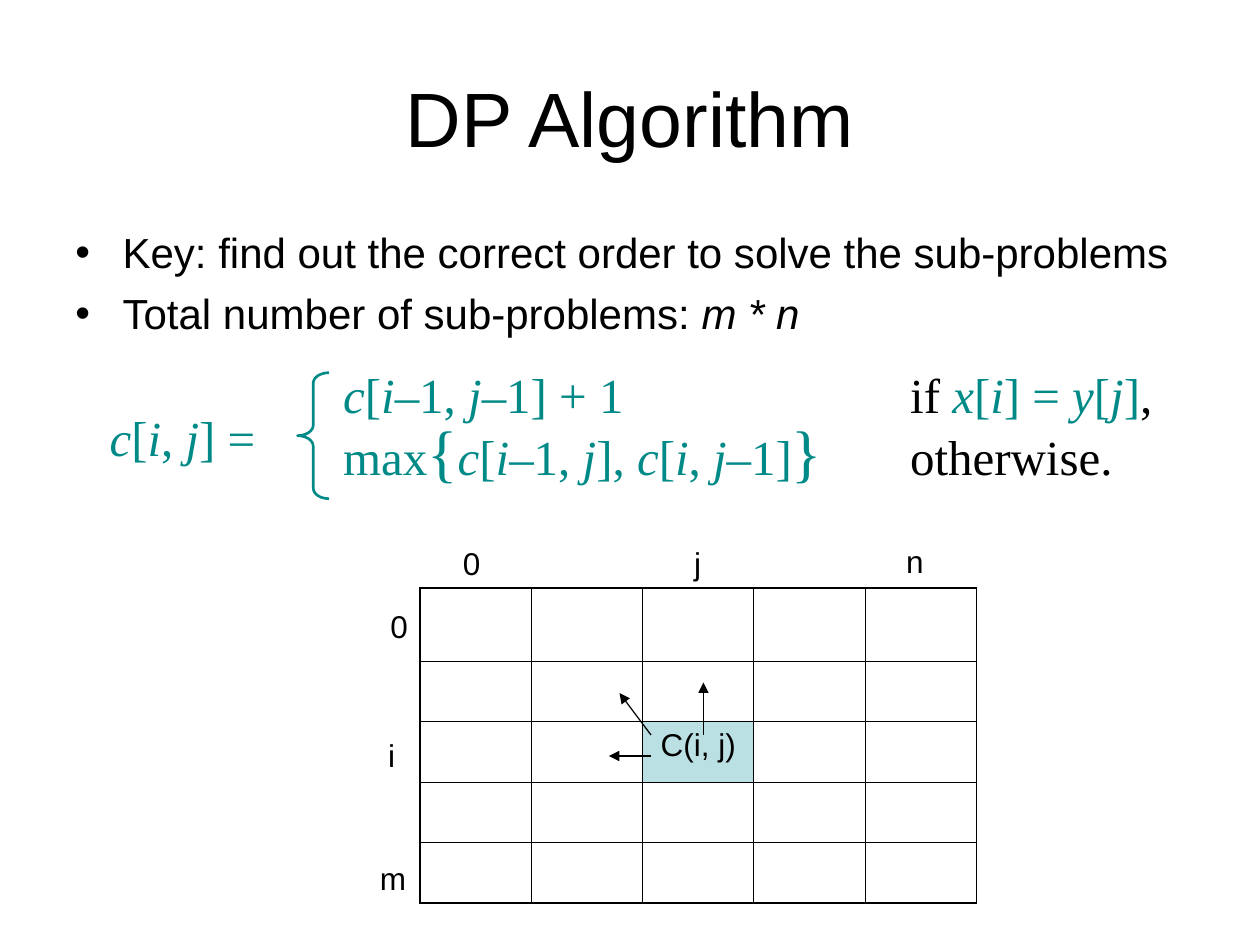
from lxml.etree import SubElement
from pptx import Presentation
from pptx.dml.color import RGBColor
from pptx.enum.shapes import MSO_CONNECTOR, MSO_SHAPE
from pptx.enum.text import MSO_ANCHOR, PP_ALIGN
from pptx.oxml.ns import qn
from pptx.util import Pt

COLORS = {"ink": "000000", "teal": "008A87", "highlight": "BBE0E3"}
SANS, SERIF = "Arial", "Times New Roman"

TITLE = "DP Algorithm"
KEY_POINTS = [
    "Key: find out the correct order to solve the sub-problems",
    "Total number of sub-problems:_ m * n_",
]
FORMULA_LEFT = [[("teal", 28, "_c_[_i_, _j_] =")]]
FORMULA_CASES = [
    [("teal", 28, "_c_[_i_–1, _j_–1] + 1\t"), ("ink", 28, "if "),
     ("teal", 28, "_x_[_i_] = _y_[_j_]"), ("ink", 28, ",")],
    [("teal", 28, "max"), ("teal", 36, "{"),
     ("teal", 28, "_c_[_i_–1, _j_], _c_[_i_, _j_–1]"),
     ("teal", 36, "}"), ("ink", 28, "\totherwise.")],
]
GRID_LABELS = [
    ("0", 216, 343.5, 25), ("m", 210, 487.5, 30), ("0", 257.5, 307.5, 25),
    ("n", 510.75, 306, 25), ("i", 214.75, 417, 18), ("j", 389.5, 307.5, 18),
]
ARROWS = [(402, 420, 402, 390), (372, 432, 348, 432), (372, 420, 354, 396)]
GRID_LEFT, GRID_TOP, COLUMN_WIDTH = 240, 336, 63.6
ROW_HEIGHTS = [42] + [34.5] * 4
COLUMNS = 5
CURRENT_CELL = (2, 2)
THIN, THICK = 0.45, 1.08


def rgb(name):
    return RGBColor.from_string(COLORS[name])


def style(font, size, face=SANS, color="ink"):
    font.size, font.name = Pt(size), face
    font.color.rgb = rgb(color)


def add_runs(paragraph, marked, size, face, color):
    for i, part in enumerate(marked.split("_")):
        if part:
            run = paragraph.add_run()
            run.text = part
            style(run.font, size, face, color)
            run.font.italic = i % 2 == 1


def add_text_frame(slide, left, top, width, height):
    frame = slide.shapes.add_textbox(Pt(left), Pt(top), Pt(width), Pt(height)).text_frame
    frame.word_wrap = True
    return frame


def paragraphs(frame, items):
    for i, item in enumerate(items):
        yield i, frame.add_paragraph() if i else frame.paragraphs[0], item


def add_key_points(slide):
    frame = add_text_frame(slide, 36, 126, 648, 356.4)
    for i, paragraph, point in paragraphs(frame, KEY_POINTS):
        properties = paragraph._p.get_or_add_pPr()
        properties.set("marL", str(Pt(27)))
        properties.set("indent", str(-Pt(27)))
        SubElement(properties, qn("a:buFont"), typeface=SANS)
        SubElement(properties, qn("a:buChar"), char="•")
        paragraph.font.size = Pt(24)
        if i:
            paragraph.space_before = Pt(6)
        add_runs(paragraph, point, 24, SANS, "ink")


def add_formula(slide, lines, box, tab=None, spacing=None):
    for _, paragraph, pieces in paragraphs(add_text_frame(slide, *box), lines):
        if tab:
            tabs = SubElement(paragraph._p.get_or_add_pPr(), qn("a:tabLst"))
            SubElement(tabs, qn("a:tab"), pos=str(Pt(tab)), algn="l")
        if spacing:
            paragraph.line_spacing = spacing
        for color, size, marked in pieces:
            add_runs(paragraph, marked, size, SERIF, color)


def add_brace(slide):
    brace = slide.shapes.add_shape(MSO_SHAPE.LEFT_BRACE, Pt(170), Pt(213), Pt(18), Pt(72))
    brace.shadow.inherit = False
    brace.adjustments[0] = 0.33
    brace.fill.background()
    brace.line.color.rgb = rgb("teal")
    brace.line.width = Pt(1.5)


def set_borders(cell, widths):
    properties = cell._tc.get_or_add_tcPr()
    for side, width in zip("LRTB", widths):
        line = SubElement(properties, qn(f"a:ln{side}"), w=str(Pt(width)))
        SubElement(SubElement(line, qn("a:solidFill")), qn("a:srgbClr"), val=COLORS["ink"])


def add_grid(slide):
    rows = len(ROW_HEIGHTS)
    grid = slide.shapes.add_table(
        rows, COLUMNS, Pt(GRID_LEFT), Pt(GRID_TOP),
        Pt(COLUMN_WIDTH * COLUMNS), Pt(sum(ROW_HEIGHTS))).table
    grid.first_row = grid.horz_banding = False
    for column in grid.columns:
        column.width = Pt(COLUMN_WIDTH)
    for r, height in enumerate(ROW_HEIGHTS):
        grid.rows[r].height = Pt(height)
        for c in range(COLUMNS):
            cell = grid.cell(r, c)
            outer = (c == 0, c == COLUMNS - 1, r == 0, r == rows - 1)
            set_borders(cell, [THICK if edge else THIN for edge in outer])
            cell.fill.background()
    current = grid.cell(*CURRENT_CELL)
    current.fill.solid()
    current.fill.fore_color.rgb = rgb("highlight")
    current.text_frame.text = "C(i, j)"
    paragraph = current.text_frame.paragraphs[0]
    paragraph.alignment = PP_ALIGN.CENTER
    style(paragraph.runs[0].font, 18)


def add_arrows(slide):
    for ends in ARROWS:
        arrow = slide.shapes.add_connector(MSO_CONNECTOR.STRAIGHT, *map(Pt, ends))
        arrow.line.color.rgb = rgb("ink")
        arrow.line.width = Pt(0.75)
        SubElement(arrow.line._get_or_add_ln(), qn("a:tailEnd"), type="triangle")
        SubElement(arrow._element.spPr, qn("a:effectLst"))


def main():
    deck = Presentation()
    deck.slide_width, deck.slide_height = Pt(720), Pt(540)
    slide = deck.slides.add_slide(deck.slide_layouts[5])

    title = slide.shapes.title
    title.left, title.top, title.width, title.height = Pt(36), Pt(21.6), Pt(648), Pt(90)
    title.text_frame.text = TITLE
    title.text_frame.vertical_anchor = MSO_ANCHOR.MIDDLE
    heading = title.text_frame.paragraphs[0]
    heading.alignment = PP_ALIGN.CENTER
    style(heading.runs[0].font, 44)

    add_key_points(slide)
    add_formula(slide, FORMULA_LEFT, (55.5, 229.5, 104, 41))
    add_formula(slide, FORMULA_CASES, (189, 210, 486, 73), tab=324, spacing=0.85)
    add_brace(slide)
    add_grid(slide)
    add_arrows(slide)
    for label, left, top, width in GRID_LABELS:
        frame = add_text_frame(slide, left, top, width, 29)
        frame.text = label
        style(frame.paragraphs[0].runs[0].font, 18)

    deck.save("out.pptx")


if __name__ == "__main__":
    main()
